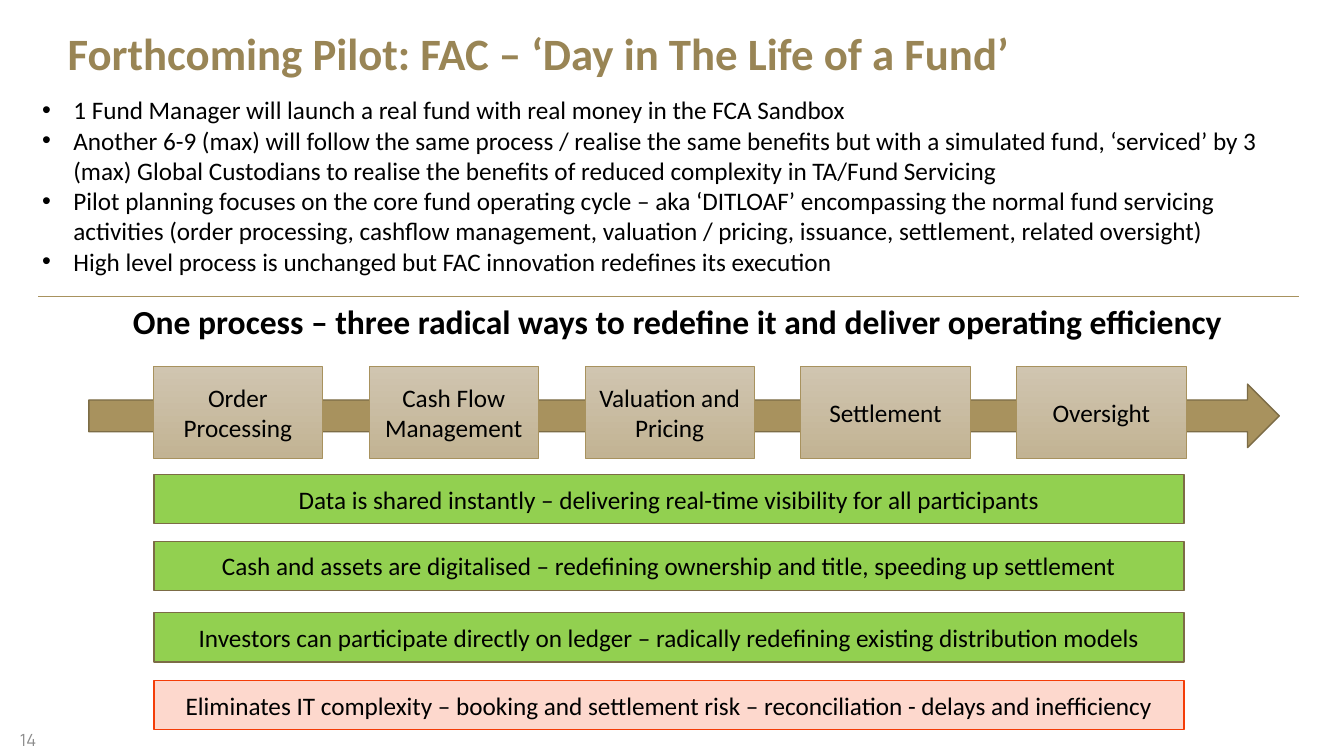
from lxml import etree
from pptx import Presentation
from pptx.dml.color import RGBColor
from pptx.enum.shapes import MSO_CONNECTOR, MSO_SHAPE
from pptx.enum.text import MSO_ANCHOR, MSO_AUTO_SIZE, PP_ALIGN
from pptx.oxml.ns import qn
from pptx.util import Cm, Pt

RECT, ARROW = MSO_SHAPE.RECTANGLE, MSO_SHAPE.RIGHT_ARROW
STRAIGHT = MSO_CONNECTOR.STRAIGHT
TOP, MIDDLE = MSO_ANCHOR.TOP, MSO_ANCHOR.MIDDLE
LEFT, CENTER = PP_ALIGN.LEFT, PP_ALIGN.CENTER
GROW, FIXED = MSO_AUTO_SIZE.SHAPE_TO_FIT_TEXT, MSO_AUTO_SIZE.NONE

GOLD, BROWN, BLACK = "A8925E", "7C6C46", "000000"
GREEN, PINK, RED = "92D050", "FDD8CD", "F43D08"


def rgb(value):
    return RGBColor.from_string(value)


def write(sp, lines, size=18, color=BLACK, bold=False, name="Calibri",
          align=LEFT, anchor=TOP, auto_size=FIXED, wrap=True, bullet=False):
    tf = sp.text_frame
    frame_format = {"word_wrap": wrap, "auto_size": auto_size, "vertical_anchor": anchor}
    for key, value in frame_format.items():
        setattr(tf, key, value)
    for i, line in enumerate(lines):
        p = tf.paragraphs[0] if i == 0 else tf.add_paragraph()
        p.alignment = align
        if bullet:
            pPr = p._p.get_or_add_pPr()
            pPr.set("marL", str(Cm(0.79)))
            pPr.set("indent", str(-Cm(0.79)))
            etree.SubElement(pPr, qn("a:buFont")).set("typeface", "Arial")
            etree.SubElement(pPr, qn("a:buChar")).set("char", "•")
        r = p.add_run()
        r.text = line
        for key, value in {"name": name, "size": Pt(size), "bold": bold}.items():
            setattr(r.font, key, value)
        r.font.color.rgb = rgb(color)


prs = Presentation()
prs.slide_width, prs.slide_height = Cm(33.87), Cm(19.05)
s = prs.slides.add_slide(prs.slide_layouts[5])

title = s.shapes.title
title_box = {"left": Cm(1.45), "top": Cm(0.79), "width": Cm(31.5), "height": Cm(1.37)}
for key, value in title_box.items():
    setattr(title, key, value)
write(title, ["Forthcoming Pilot: FAC – ‘Day in The Life of a Fund’"],
      size=32, color="998555", bold=True, auto_size=GROW)
title.text_frame.paragraphs[0].line_spacing = 0.8

points = [
    "1 Fund Manager will launch a real fund with real money in the FCA Sandbox",
    "Another 6-9 (max) will follow the same process / realise the same benefits but with a "
    "simulated fund, ‘serviced’ by 3 (max) Global Custodians to realise the benefits of "
    "reduced complexity in TA/Fund Servicing",
    "Pilot planning focuses on the core fund operating cycle – aka ‘DITLOAF’ encompassing "
    "the normal fund servicing activities (order processing, cashflow management, "
    "valuation / pricing, issuance, settlement, related oversight)",
    "High level process is unchanged but FAC innovation redefines its execution",
]
sp = s.shapes.add_textbox(Cm(0.81), Cm(2.26), Cm(31.93), Cm(4.88))
write(sp, points, auto_size=GROW, bullet=True)

divider = s.shapes.add_connector(STRAIGHT, Cm(0.97), Cm(7.47), Cm(32.74), Cm(7.47))
divider.line.color.rgb = rgb(GOLD)
divider.line.width = Pt(0.5)
etree.SubElement(divider._element.spPr, qn("a:effectLst"))

sp = s.shapes.add_textbox(Cm(3.1), Cm(7.47), Cm(28.27), Cm(1.27))
write(sp, ["One process – three radical ways to redefine it and deliver operating efficiency"],
      size=24, bold=True, auto_size=GROW, wrap=False)

arrow = s.shapes.add_shape(ARROW, Cm(2.24), Cm(9.68), Cm(30), Cm(1.6))
arrow.shadow.inherit = False
arrow.fill.solid()
arrow.fill.fore_color.rgb = rgb(GOLD)
arrow.line.color.rgb = rgb(BROWN)
arrow.line.width = Pt(1)

steps = ["Order Processing", "Cash Flow Management", "Valuation and Pricing",
         "Settlement", "Oversight"]
for i, step in enumerate(steps):
    sp = s.shapes.add_shape(RECT, Cm(3.86 + 5.44 * i), Cm(9.24), Cm(4.27), Cm(2.31))
    sp.shadow.inherit = False
    sp.fill.gradient()
    sp.fill.gradient_angle = 270
    for stop, color in zip(sp.fill.gradient_stops, ["D0C5B0", "C2B393"]):
        stop.color.rgb = rgb(color)
    sp.line.color.rgb = rgb(GOLD)
    sp.line.width = Pt(0.5)
    write(sp, [step], align=CENTER, anchor=MIDDLE)

benefits = [
    (11.96, GREEN, BROWN,
     "Data is shared instantly – delivering real-time visibility for all participants"),
    (13.64, GREEN, BROWN,
     "Cash and assets are digitalised – redefining ownership and title, speeding up settlement"),
    (15.44, GREEN, BROWN,
     "Investors can participate directly on ledger – radically redefining existing "
     "distribution models"),
    (17.15, PINK, RED,
     "Eliminates IT complexity – booking and settlement risk – reconciliation - delays "
     "and inefficiency"),
]
for top, fill, line, text in benefits:
    sp = s.shapes.add_shape(RECT, Cm(3.88), Cm(top), Cm(25.96), Cm(1.24))
    sp.shadow.inherit = False
    sp.fill.solid()
    sp.fill.fore_color.rgb = rgb(fill)
    sp.line.color.rgb = rgb(line)
    sp.line.width = Pt(1)
    write(sp, [text], align=CENTER, anchor=MIDDLE)

sp = s.shapes.add_textbox(Cm(0.25), Cm(18.14), Cm(7.62), Cm(1.02))
write(sp, ["14"], size=12, color="8C8C8C", name="Manrope", anchor=MIDDLE)

prs.save("out.pptx")
